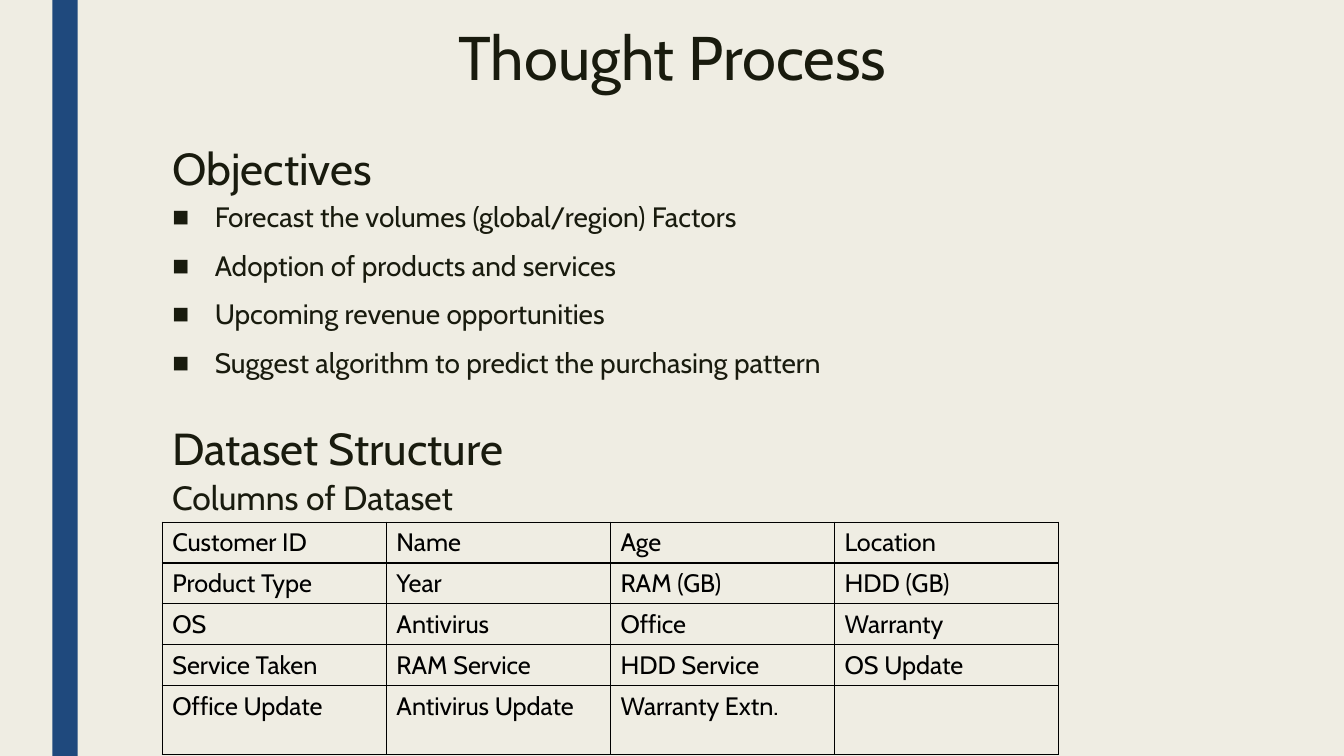
from pptx import Presentation
from pptx import util as u
from pptx.dml.color import RGBColor
from pptx.enum import shapes, text
from pptx.oxml import parse_xml
from pptx.oxml.ns import nsdecls

PX = 9144  # 100 px to the inch


class Theme:
    font = "Cabin"
    back, bar, ink, grid = "EFEDE3", "1F497D", "191B0E", "000000"
    title, head, sub, item, cell = 44, 32, 24, 20, 18
    tight, loose = 0.89, 0.94


GOALS = [
    "Forecast the volumes (global/region) Factors",
    "Adoption of products and services",
    "Upcoming revenue opportunities",
    "Suggest algorithm to predict the purchasing pattern",
]
FIELDS = [
    ["Customer ID", "Name", "Age", "Location"],
    ["Product Type", "Year", "RAM (GB)", "HDD (GB)"],
    ["OS", "Antivirus", "Office", "Warranty"],
    ["Service Taken", "RAM Service", "HDD Service", "OS Update"],
    ["Office Update", "Antivirus Update", "Warranty Extn.", ""],
]


def emu(box):
    return [n * PX for n in box]


def rgb(hue):
    return RGBColor.from_string(hue)


def place(shape, box):
    shape.left, shape.top, shape.width, shape.height = emu(box)


def write(para, words, size, hue=Theme.ink):
    run = para.add_run()
    run.text = words
    run.font.name = Theme.font
    run.font.size = u.Pt(size)
    run.font.color.rgb = rgb(hue)


def frame(shape, anchor):
    body = shape.text_frame
    body.word_wrap = True
    body.auto_size = text.MSO_AUTO_SIZE.NONE
    body.vertical_anchor = anchor
    return body


def line(shape, words, size, align):
    para = frame(shape, text.MSO_ANCHOR.MIDDLE).paragraphs[0]
    para.alignment = align
    para.line_spacing = Theme.tight
    write(para, words, size)


# Background and side bar
def backdrop(slide, box):
    slide.background.fill.solid()
    slide.background.fill.fore_color.rgb = rgb(Theme.back)
    bar = slide.shapes.add_shape(shapes.MSO_SHAPE.RECTANGLE, *emu(box))
    bar.shadow.inherit = False
    bar.fill.solid()
    bar.fill.fore_color.rgb = rgb(Theme.bar)
    bar.line.fill.background()


def title(slide, box, words):
    place(slide.shapes.title, box)
    line(slide.shapes.title, words, Theme.title, text.PP_ALIGN.CENTER)


def heading(slide, box, words, size):
    label = slide.shapes.add_textbox(*emu(box))
    line(label, words, size, text.PP_ALIGN.LEFT)


# Square-bulleted list in the body placeholder
def bullets(slide, box, items):
    holder = slide.placeholders[1]
    place(holder, box)
    body = frame(holder, text.MSO_ANCHOR.TOP)
    for i, words in enumerate(items):
        para = body.add_paragraph() if i else body.paragraphs[0]
        para.line_spacing = Theme.loose
        para.space_before, para.space_after = u.Pt(10), u.Pt(2)
        props = para._p.get_or_add_pPr()
        props.set("marL", str(42 * PX))
        props.set("indent", str(-42 * PX))
        for mark in (
            f'<a:buClr {nsdecls("a")}><a:srgbClr val="{Theme.ink}"/></a:buClr>',
            f'<a:buFont {nsdecls("a")} typeface="Arial"/>',
            f'<a:buChar {nsdecls("a")} char="■"/>',
        ):
            props.append(parse_xml(mark))
        write(para, words, Theme.item)


def border(cell):
    props = cell._tc.get_or_add_tcPr()
    for side in ("lnL", "lnR", "lnT", "lnB"):
        props.append(parse_xml(
            f'<a:{side} {nsdecls("a")} w="{u.Pt(1)}"><a:solidFill>'
            f'<a:srgbClr val="{Theme.grid}"/></a:solidFill></a:{side}>'))


# Plain grid of column names; the last row takes the spare height
def grid(slide, box, rows, step):
    table = slide.shapes.add_table(len(rows), len(rows[0]), *emu(box)).table
    table.first_row = table.horz_banding = False
    for row in table.rows:
        row.height = step * PX
    table.rows[len(rows) - 1].height = (box[3] - step * (len(rows) - 1)) * PX
    for r, names in enumerate(rows):
        for c, name in enumerate(names):
            cell = table.cell(r, c)
            border(cell)
            cell.fill.background()
            if name:
                write(cell.text_frame.paragraphs[0], name, Theme.cell, Theme.grid)


def main():
    deck = Presentation()
    deck.slide_width, deck.slide_height = emu((1333, 750))
    slide = deck.slides.add_slide(deck.slide_layouts[1])
    left = 161
    backdrop(slide, (52, 0, 25, 750))
    title(slide, (117, 13, 1100, 95), "Thought Process")
    bullets(slide, (left, 196, 1050, 212), GOALS)
    heading(slide, (left, 122, 239, 95), "Objectives", Theme.head)
    heading(slide, (left, 400, 354, 95), "Dataset Structure", Theme.head)
    grid(slide, (left, 518, 889, 224), FIELDS, 39)
    heading(slide, (left, 448, 354, 95), "Columns of Dataset", Theme.sub)
    deck.save("out.pptx")


if __name__ == "__main__":
    main()
